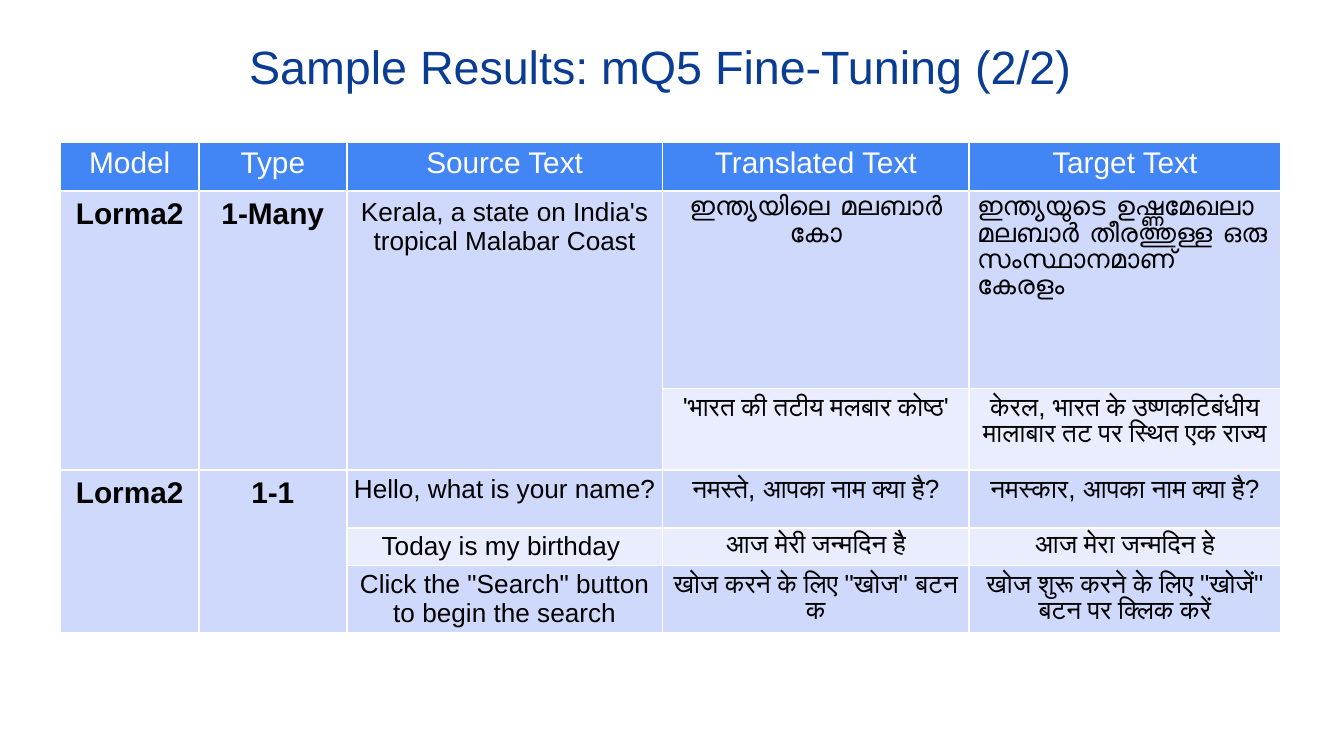
from dataclasses import dataclass

from lxml.etree import SubElement
from pptx import Presentation
from pptx.dml.color import RGBColor
from pptx.enum.text import PP_ALIGN as Align
from pptx.oxml.ns import qn
from pptx.slide import Slide
from pptx.table import Table, _Cell as Cell
from pptx.util import Inches, Pt

WHITE = RGBColor(0xFF, 0xFF, 0xFF)
BLACK = RGBColor(0x00, 0x00, 0x00)
NAVY = RGBColor(0x09, 0x3C, 0x92)
HEADER_BLUE = RGBColor(0x42, 0x85, 0xF4)
DARK_BAND = RGBColor(0xCF, 0xD9, 0xFB)
LIGHT_BAND = RGBColor(0xE9, 0xED, 0xFD)

COLUMN_WIDTHS = [1.03, 1.1, 2.35, 2.28, 2.32]
ROW_HEIGHTS = [0.36, 1.47, 0.61, 0.43, 0.25, 0.44]


@dataclass(frozen=True)
class CellStyle:
    size: int
    margin_x: float
    margin_y: float
    color: RGBColor = BLACK
    bold: bool = False
    font: str = "Arial"
    align: Align = Align.CENTER


HEADER = CellStyle(16, 0.06, 0.03, color=WHITE)
LABEL = CellStyle(16, 0.1, 0.05, bold=True)
MERGED_SOURCE = CellStyle(14, 0.1, 0.05)
SAMPLE = CellStyle(14, 0.05, 0.03)
LONG_SAMPLE = CellStyle(14, 0.06, 0.03, font="Lato", align=Align.LEFT)


@dataclass(frozen=True)
class Entry:
    text: str
    style: CellStyle = SAMPLE
    row_span: int = 1


ROWS = [
    [Entry(name, HEADER) for name in
     ("Model", "Type", "Source Text", "Translated Text", "Target Text")],
    [Entry("Lorma2", LABEL, 2),
     Entry("1-Many", LABEL, 2),
     Entry("Kerala, a state on India's tropical Malabar Coast", MERGED_SOURCE, 2),
     Entry("ഇന്ത്യയിലെ മലബാർ കോ"),
     Entry("ഇന്ത്യയുടെ ഉഷ്ണമേഖലാ മലബാർ തീരത്തുള്ള ഒരു സംസ്ഥാനമാണ് കേരളം", LONG_SAMPLE)],
    [None, None, None,
     Entry("'भारत की तटीय मलबार कोष्ठ'"),
     Entry("केरल, भारत के उष्णकटिबंधीय मालाबार तट पर स्थित एक राज्य")],
    [Entry("Lorma2", LABEL, 3),
     Entry("1-1", LABEL, 3),
     Entry("Hello, what is your name?"),
     Entry("नमस्ते, आपका नाम क्या है?"),
     Entry("नमस्कार, आपका नाम क्या है?")],
    [None, None,
     Entry("Today is my birthday "),
     Entry("आज मेरी जन्मदिन है"),
     Entry("आज मेरा जन्मदिन हे")],
    [None, None,
     Entry('Click the "Search" button to begin the search'),
     Entry('खोज करने के लिए "खोज" बटन क'),
     Entry('खोज शुरू करने के लिए "खोजें" बटन पर क्लिक करें')],
]


def fill_cell(cell: Cell, color: RGBColor) -> None:
    """Give the cell white 1 pt borders and a solid fill."""
    properties = cell._tc.get_or_add_tcPr()
    for side in ("a:lnL", "a:lnR", "a:lnT", "a:lnB"):
        line = SubElement(properties, qn(side), w=str(Pt(1)))
        SubElement(SubElement(line, qn("a:solidFill")), qn("a:srgbClr"), val=str(WHITE))
    cell.fill.solid()
    cell.fill.fore_color.rgb = color


def write_cell(cell: Cell, entry: Entry) -> None:
    style = entry.style
    cell.margin_left = cell.margin_right = Inches(style.margin_x)
    cell.margin_top = cell.margin_bottom = Inches(style.margin_y)
    cell.text = entry.text
    paragraph = cell.text_frame.paragraphs[0]
    paragraph.alignment = style.align
    # Set on the run, where it outranks the table style.
    font = paragraph.runs[0].font
    font.name, font.size, font.bold = style.font, Pt(style.size), style.bold
    font.color.rgb = style.color


def band_color(row: int) -> RGBColor:
    if row == 0:
        return HEADER_BLUE
    return DARK_BAND if row % 2 else LIGHT_BAND


def fill_table(table: Table) -> None:
    for column, width in zip(table.columns, COLUMN_WIDTHS):
        column.width = Inches(width)
    for row, height in zip(table.rows, ROW_HEIGHTS):
        row.height = Inches(height)
    for row_index, entries in enumerate(ROWS):
        for column_index, entry in enumerate(entries):
            cell = table.cell(row_index, column_index)
            fill_cell(cell, band_color(row_index) if entry else DARK_BAND)
            if entry is None:
                continue
            write_cell(cell, entry)
            if entry.row_span > 1:
                cell.merge(table.cell(row_index + entry.row_span - 1, column_index))


def add_title(slide: Slide, text: str) -> None:
    box = slide.shapes.add_textbox(Inches(0), Inches(0.18), Inches(9.82), Inches(0.31))
    frame = box.text_frame
    frame.word_wrap = True
    frame.margin_left = frame.margin_right = Inches(0.1)
    frame.margin_top = frame.margin_bottom = Inches(0.1)
    paragraph = frame.paragraphs[0]
    paragraph.text = text
    paragraph.alignment = Align.CENTER
    paragraph.font.name = "Arial"
    paragraph.font.size = Pt(25)
    paragraph.font.color.rgb = NAVY


def main() -> None:
    presentation = Presentation()
    presentation.slide_width = Inches(10)
    presentation.slide_height = Inches(10 * 9 / 16)
    slide = presentation.slides.add_slide(presentation.slide_layouts[6])
    frame = slide.shapes.add_table(
        len(ROW_HEIGHTS), len(COLUMN_WIDTHS), Inches(0.45), Inches(1.06),
        Inches(sum(COLUMN_WIDTHS)), Inches(sum(ROW_HEIGHTS)))
    fill_table(frame.table)
    add_title(slide, "Sample Results: mQ5 Fine-Tuning (2/2)")
    presentation.save("out.pptx")


if __name__ == "__main__":
    main()
